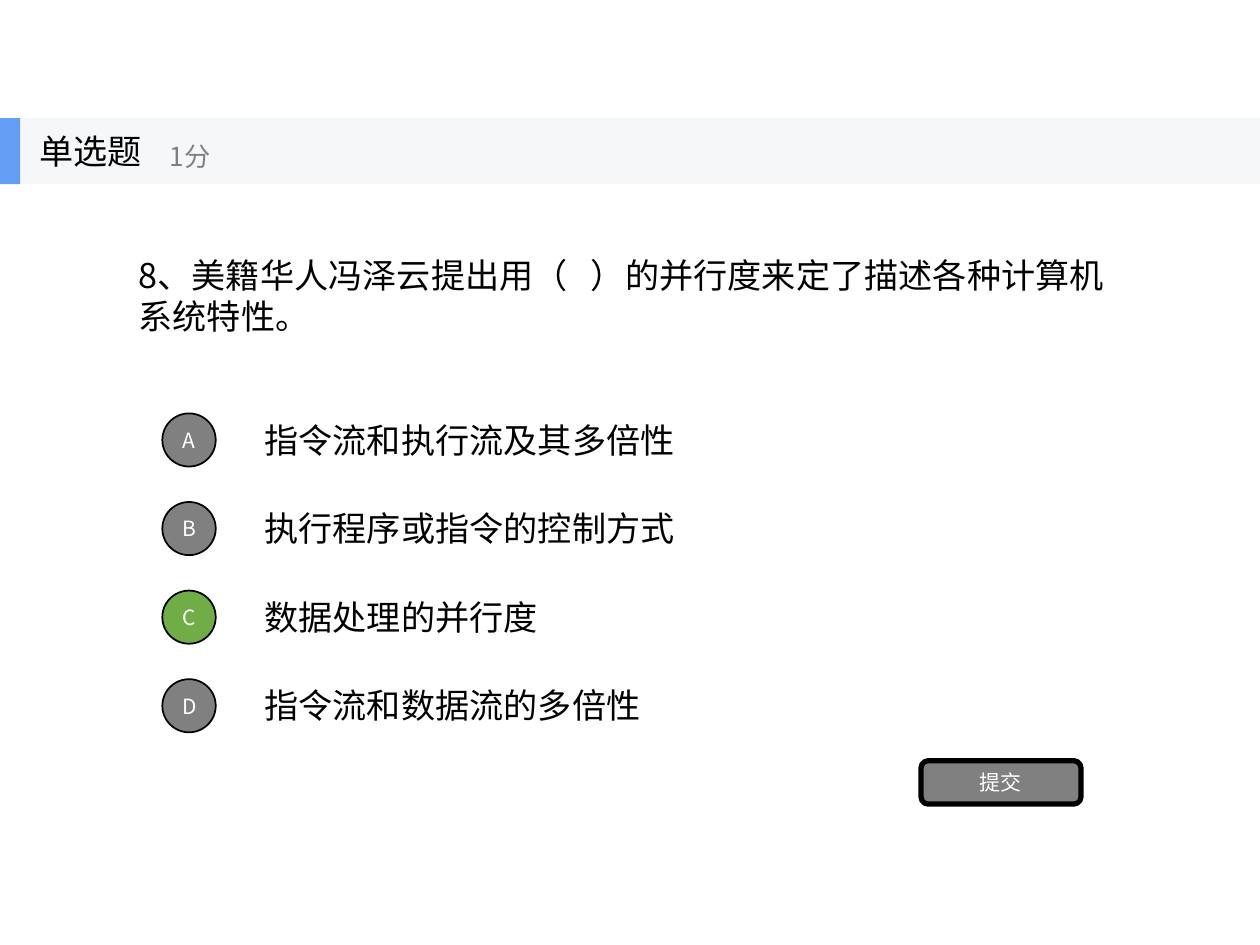
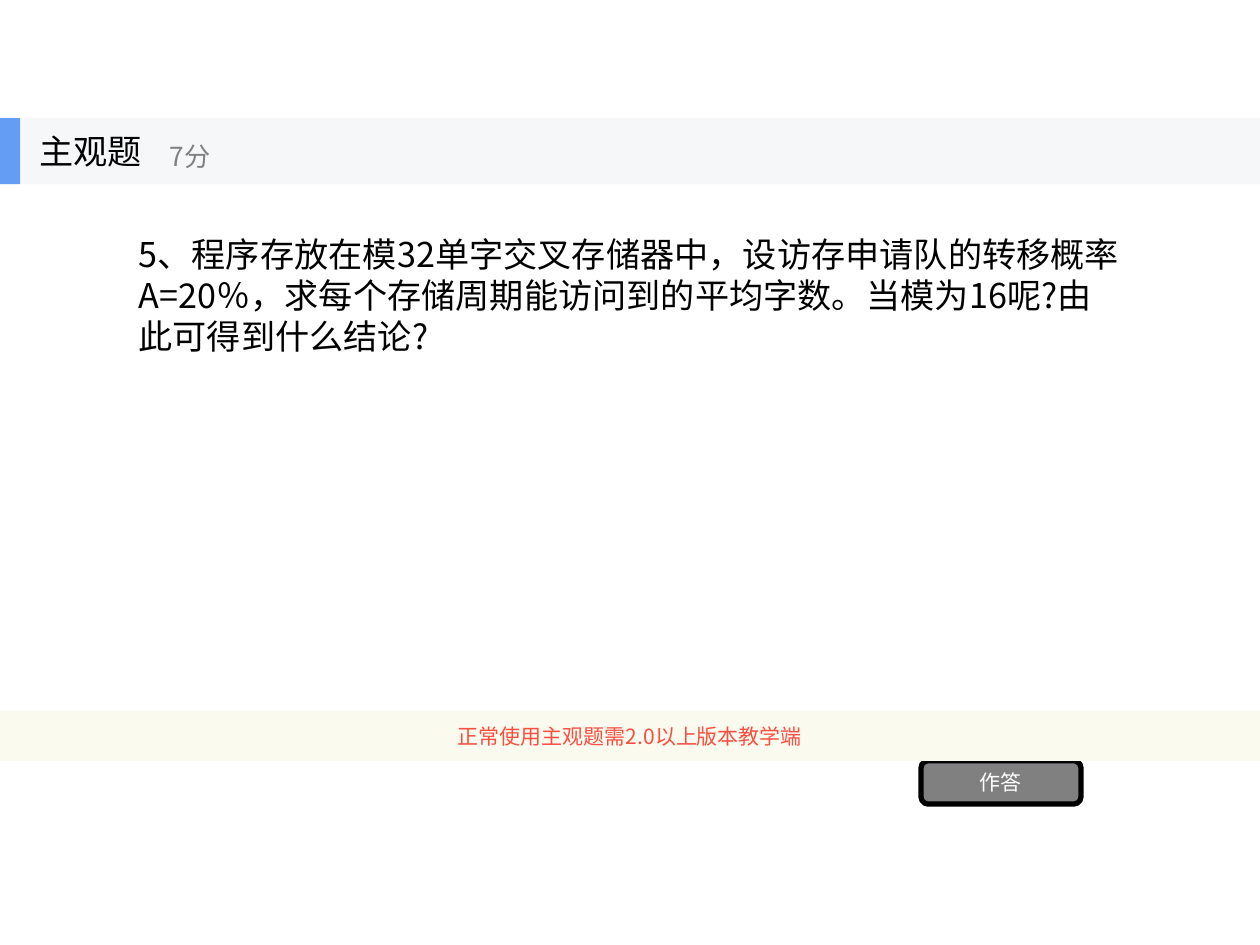
import dataclasses

import pptx
import pptx.dml.color
import pptx.enum.shapes
import pptx.enum.text
import pptx.oxml.ns
import pptx.util
from lxml import etree

FONT = "Noto Sans CJK SC"
BLACK, WHITE, GREY, GREEN = "000000", "FFFFFF", "808080", "70AD47"
BAND, ACCENT, NOTICE, ALERT = "F6F7F8", "639EF4", "FBFAEF", "F84F41"
LARGE, MEDIUM, SMALL = 19.5, 15, 12
SHAPE = pptx.enum.shapes.MSO_SHAPE
ALIGN = pptx.enum.text.PP_ALIGN


@dataclasses.dataclass
class Box:
    """A rectangle in inches."""
    left: float
    top: float
    width: float
    height: float

    def inner(self, left, top, width, height):
        """Return an inner box given in percent of this one."""
        return Box(self.left + self.width * left / 100,
                   self.top + self.height * top / 100,
                   self.width * width / 100, self.height * height / 100)

    def lengths(self):
        """Return left, top, width and height as slide lengths."""
        return [pptx.util.Inches(value) for value in dataclasses.astuple(self)]


SLIDE = Box(0, 0, 10, 7.5)
HEADER = SLIDE.inner(0, 12.5, 100, 7)
QUESTION = SLIDE.inner(10, 19.5, 80, 23.5)
OPTIONS = SLIDE.inner(10, 43, 80, 37.5)
WARNING = SLIDE.inner(0, 75.2, 100, 5.33)
BUTTON = SLIDE.inner(73.1, 80.5, 12.7, 4.6)


def color(value):
    """Turn a hex string into a colour."""
    return pptx.dml.color.RGBColor.from_string(value)


def write(shape, text, size, ink, align=ALIGN.LEFT, spacing=None):
    """Put one formatted, vertically centred paragraph into a shape."""
    frame = shape.text_frame
    frame.word_wrap = True
    frame.auto_size = pptx.enum.text.MSO_AUTO_SIZE.NONE
    frame.vertical_anchor = pptx.enum.text.MSO_ANCHOR.MIDDLE
    frame.text = text
    para = frame.paragraphs[0]
    para.alignment = align
    para.space_before = pptx.util.Pt(0)
    if spacing:
        para.line_spacing = pptx.util.Pt(spacing)
    if shape.is_placeholder:
        for props in shape.element.iter(pptx.oxml.ns.qn("a:pPr")):
            props.set("marL", "0")
            props.set("indent", "0")
            etree.SubElement(props, pptx.oxml.ns.qn("a:buNone"))
    font = para.font
    font.size = pptx.util.Pt(size)
    font.color.rgb = color(ink)
    font.name = FONT
    for props in shape.element.iter(pptx.oxml.ns.qn("a:defRPr")):
        etree.SubElement(props, pptx.oxml.ns.qn("a:ea"), typeface=FONT)


def add_label(page, box, text, size, ink):
    """Add a text box."""
    write(page.shapes.add_textbox(*box.lengths()), text, size, ink)


def add_figure(page, kind, box, fill, line_width=0):
    """Add a filled preset shape, outlined in black if a width is given."""
    figure = page.shapes.add_shape(kind, *box.lengths())
    figure.shadow.inherit = False
    figure.fill.solid()
    figure.fill.fore_color.rgb = color(fill)
    if line_width:
        figure.line.color.rgb = color(BLACK)
        figure.line.width = pptx.util.Pt(line_width)
    else:
        figure.line.fill.background()
    return figure


def fill_placeholder(holder, box, text, spacing=None):
    """Move a placeholder to a box and write its text."""
    holder.left, holder.top, holder.width, holder.height = box.lengths()
    write(holder, text, LARGE, BLACK, spacing=spacing)


def add_header(page, box, kind, score):
    """Add the band with the question type and its score."""
    title = page.shapes.title
    for area, fill in ((box, BAND), (box.inner(0, 0, 1.6, 100), ACCENT)):
        strip = add_figure(page, SHAPE.RECTANGLE, area, fill)
        title.element.addprevious(strip.element)
    fill_placeholder(title, box.inner(2.1, 0, 15.6, 100), kind)
    add_label(page, box.inner(12.5, 18, 18.8, 80), score, MEDIUM, GREY)


def add_options(page, box, options, answer):
    """Add lettered options in equal rows, with the answer in green."""
    row_height = 100 / len(options)
    for index, (letter, text) in enumerate(zip("ABCD", options)):
        row = box.inner(0, index * row_height, 100, row_height)
        fill = GREEN if letter == answer else GREY
        badge = add_figure(page, SHAPE.OVAL, row.inner(3.6, 8, 5.3, 60), fill, 1)
        write(badge, letter, SMALL, WHITE, ALIGN.CENTER)
        add_label(page, row.inner(12.5, 0, 87.5, 75), text, LARGE, BLACK)


def add_button(page, box, text):
    """Add the rounded action button."""
    button = add_figure(page, SHAPE.ROUNDED_RECTANGLE, box, GREY, 3)
    write(button, text, SMALL, WHITE, ALIGN.CENTER)


def add_warning(page, box, text):
    """Add the full-width notice strip."""
    strip = add_figure(page, SHAPE.RECTANGLE, box, NOTICE)
    write(strip, text, SMALL, ALERT, ALIGN.CENTER)


def add_question_page(deck, kind, score, question, action):
    """Add a page with header, question and action button."""
    page = deck.slides.add_slide(deck.slide_layouts[1])
    add_header(page, HEADER, kind, score)
    fill_placeholder(page.placeholders[1], QUESTION, question, spacing=23.4)
    add_button(page, BUTTON, action)
    return page


def main():
    """Build the deck."""
    deck = pptx.Presentation()
    deck.slide_width = pptx.util.Inches(SLIDE.width)
    deck.slide_height = pptx.util.Inches(SLIDE.height)

    choice = add_question_page(
        deck, "单选题", "1分",
        "8、美籍华人冯泽云提出用（   ）的并行度来定了描述各种计算机系统特性。",
        "提交")
    add_options(choice, OPTIONS, [
        "指令流和执行流及其多倍性",
        "执行程序或指令的控制方式",
        "数据处理的并行度",
        "指令流和数据流的多倍性",
    ], answer="C")

    essay = add_question_page(
        deck, "主观题", "7分",
        "5、程序存放在模32单字交叉存储器中，设访存申请队的转移概率A=20％，"
        "求每个存储周期能访问到的平均字数。当模为16呢?由此可得到什么结论?",
        "作答")
    add_warning(essay, WARNING, "正常使用主观题需2.0以上版本教学端")

    deck.save("out.pptx")


if __name__ == "__main__":
    main()
